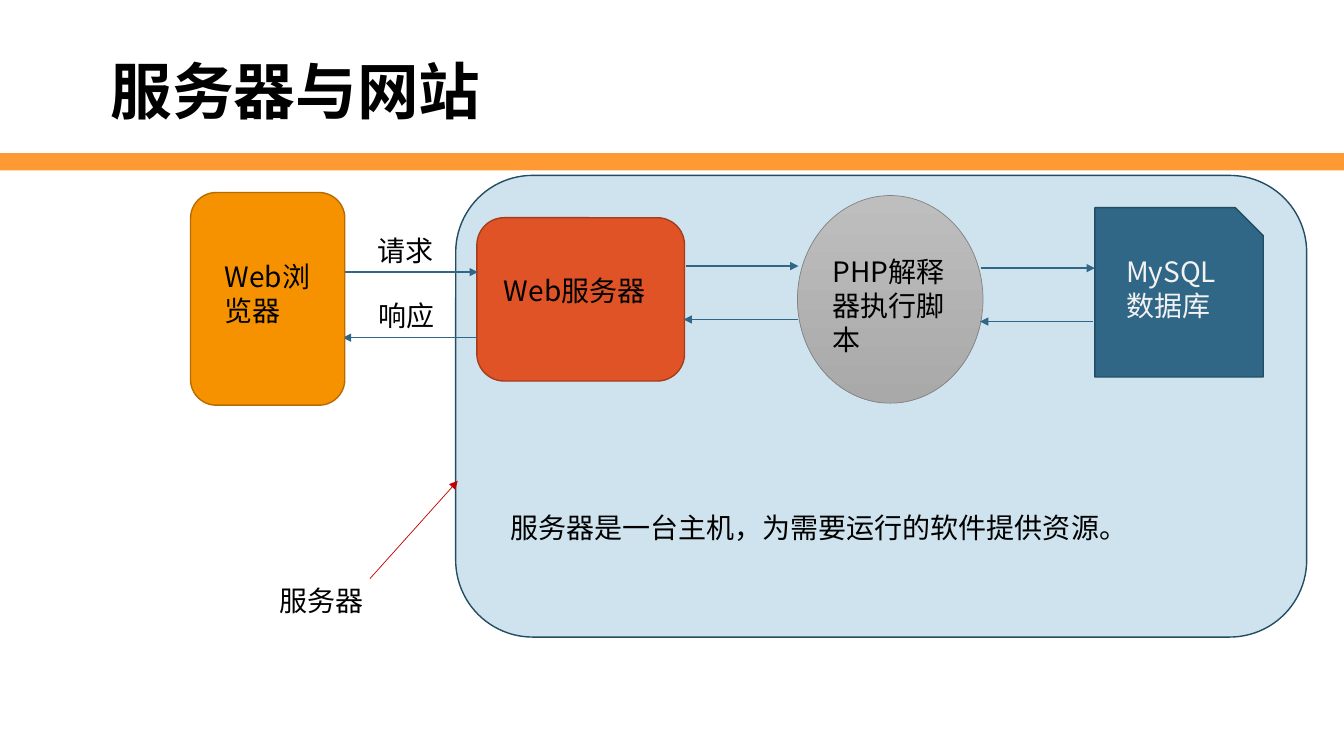
import pptx
import pptx.util
import pptx.dml.color
import pptx.enum.shapes
import pptx.enum.text
import pptx.oxml.ns
from dataclasses import dataclass
from lxml import etree
from pptx.util import Inches

SHAPES = pptx.enum.shapes.MSO_SHAPE
ANCHOR = pptx.enum.text.MSO_ANCHOR


@dataclass(frozen=True)
class Theme:
    font: str = "Noto Sans CJK SC"
    title_size: int = 44
    body_size: int = 20
    text: str = "000000"
    light_text: str = "F2F2F2"
    band: str = "FF9933"
    host: str = "CFE3EE"
    blue: str = "306786"
    dark_blue: str = "244C63"
    red: str = "DF5327"
    dark_red: str = "A53D1D"
    orange: str = "F69200"
    dark_orange: str = "B66C00"
    light_gray: str = "BEBEBE"
    gray: str = "A9A9A9"
    dark_gray: str = "838383"
    pointer: str = "C00000"


THEME = Theme()

TITLE = ("服务器与网站", (1, 0.56, 6.65, 0.75))
BAND = (SHAPES.RECTANGLE, (0, 1.52, 13.33, 0.17), [THEME.band], None, 0)
HOST = (SHAPES.ROUNDED_RECTANGLE, (4.52, 1.74, 8.44, 4.58), [THEME.host], THEME.dark_blue, 1)
WEB_SERVER = (SHAPES.ROUNDED_RECTANGLE, (4.73, 2.16, 2.06, 1.62), [THEME.red], THEME.dark_red, 1)
INTERPRETER = (SHAPES.OVAL, (7.91, 1.94, 1.84, 2.06),
               [THEME.light_gray, THEME.gray], THEME.dark_gray, 0.5)
BROWSER = (SHAPES.ROUNDED_RECTANGLE, (1.89, 1.91, 1.53, 2.11),
           [THEME.orange], THEME.dark_orange, 1)
DATABASE = (SHAPES.SNIP_1_RECTANGLE, (10.86, 2.06, 1.67, 1.68), [THEME.blue], THEME.dark_blue, 1)

SERVER_ARROWS = [
    (6.8, 2.64, 7.92, 2.64),
    (7.91, 3.17, 6.78, 3.17),
    (3.4, 2.7, 4.74, 2.7),
    (4.73, 3.35, 3.4, 3.35),
]
DATABASE_ARROWS = [
    (9.73, 2.66, 10.86, 2.66),
    (10.84, 3.19, 9.72, 3.19),
]
HOST_POINTER = (3.67, 5.74, 4.54, 4.77)

LABELS = [
    ("Web服务器", (4.9, 2.66, 1.73, 0.44), THEME.text),
    ("PHP解释器执行脚本", (8.16, 2.48, 1.34, 1.11), THEME.text),
    ("请求", (3.65, 2.27, 0.78, 0.44), THEME.text),
    ("响应", (3.66, 2.91, 0.77, 0.44), THEME.text),
    ("Web浏览器", (2.13, 2.53, 1.08, 0.77), THEME.text),
    ("MySQL数据库", (11.07, 2.48, 1.22, 0.77), THEME.light_text),
    ("服务器", (2.67, 5.74, 1.29, 0.44), THEME.text),
]
EXPLANATION = ("服务器是一台主机，为需要运行的软件提供资源。", (4.96, 4.85, 7.58, 0.55))


def rgb(color):
    return pptx.dml.color.RGBColor.from_string(color)


def add_node(slide, node):
    preset, box, fills, line, width = node
    shape = slide.shapes.add_shape(preset, *map(Inches, box))
    shape.shadow.inherit = False
    if len(fills) == 1:
        shape.fill.solid()
        shape.fill.fore_color.rgb = rgb(fills[0])
    else:
        shape.fill.gradient()
        shape.fill.gradient_angle = 270
        for stop, color in zip(shape.fill.gradient_stops, fills):
            stop.color.rgb = rgb(color)
    if line:
        shape.line.color.rgb = rgb(line)
        shape.line.width = pptx.util.Pt(width)
    else:
        shape.line.fill.background()


def add_arrow(slide, ends, color=THEME.blue, width=1):
    connector = slide.shapes.add_connector(
        pptx.enum.shapes.MSO_CONNECTOR.STRAIGHT, *map(Inches, ends))
    connector.line.color.rgb = rgb(color)
    connector.line.width = pptx.util.Pt(width)
    tail = etree.SubElement(connector.line._get_or_add_ln(), pptx.oxml.ns.qn("a:tailEnd"))
    tail.set("type", "triangle")
    etree.SubElement(connector._element.spPr, pptx.oxml.ns.qn("a:effectLst"))


def add_text(slide, text, box, color=THEME.text, size=THEME.body_size,
             bold=False, spacing=1.0, anchor=ANCHOR.TOP):
    frame = slide.shapes.add_textbox(*map(Inches, box)).text_frame
    frame.word_wrap = True
    frame.vertical_anchor = anchor
    frame.text = text
    paragraph = frame.paragraphs[0]
    paragraph.line_spacing = spacing
    font = paragraph.runs[0].font
    font.name = THEME.font
    font.size = pptx.util.Pt(size)
    font.bold = bold
    font.color.rgb = rgb(color)
    east_asian = etree.SubElement(font._element, pptx.oxml.ns.qn("a:ea"))
    east_asian.set("typeface", THEME.font)


def main():
    presentation = pptx.Presentation()
    presentation.slide_width = Inches(13.33)
    presentation.slide_height = Inches(7.5)
    slide = presentation.slides.add_slide(presentation.slide_layouts[6])

    for node in (BAND, HOST, WEB_SERVER):
        add_node(slide, node)
    for ends in SERVER_ARROWS:
        add_arrow(slide, ends)
    for node in (INTERPRETER, BROWSER):
        add_node(slide, node)
    for ends in DATABASE_ARROWS:
        add_arrow(slide, ends)
    add_node(slide, DATABASE)
    add_arrow(slide, HOST_POINTER, THEME.pointer, 0.5)

    add_text(slide, *TITLE, size=THEME.title_size, bold=True, spacing=0.9, anchor=ANCHOR.MIDDLE)
    for label in LABELS:
        add_text(slide, *label)
    add_text(slide, *EXPLANATION, spacing=1.5)

    presentation.save("out.pptx")


if __name__ == "__main__":
    main()
